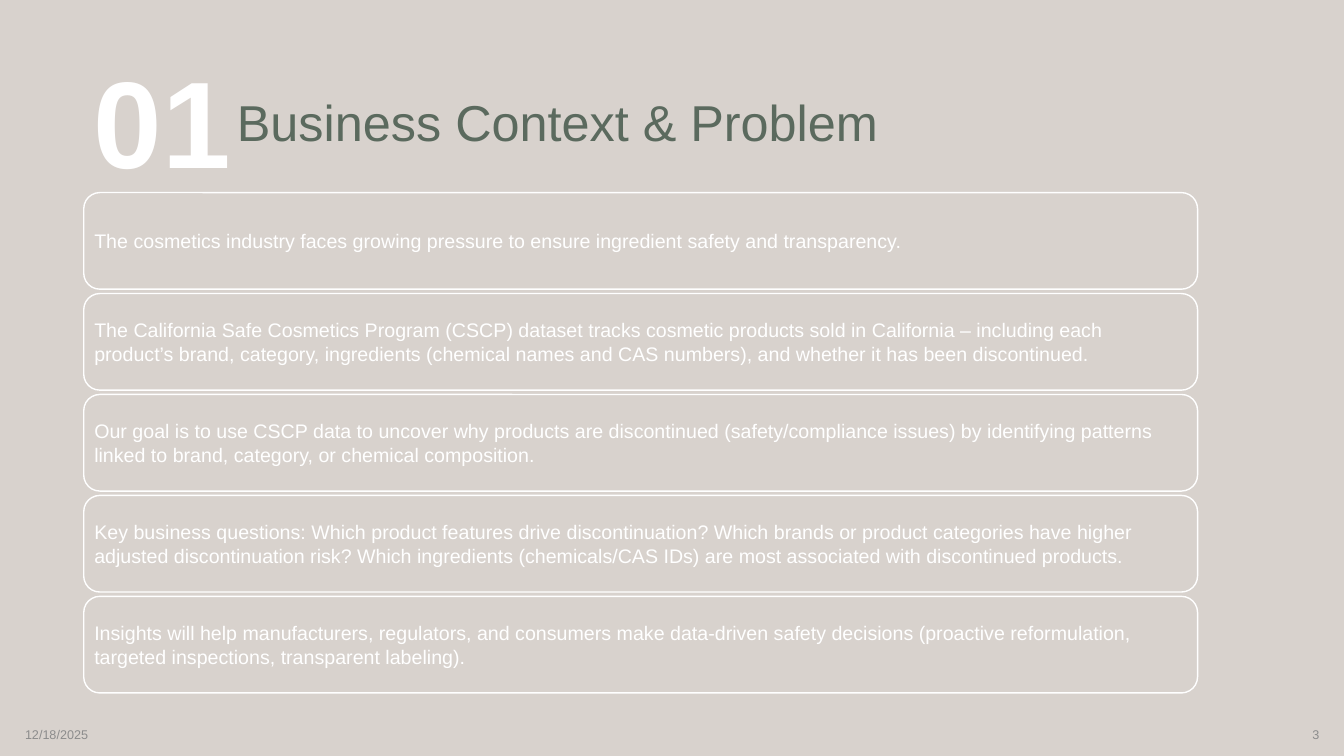
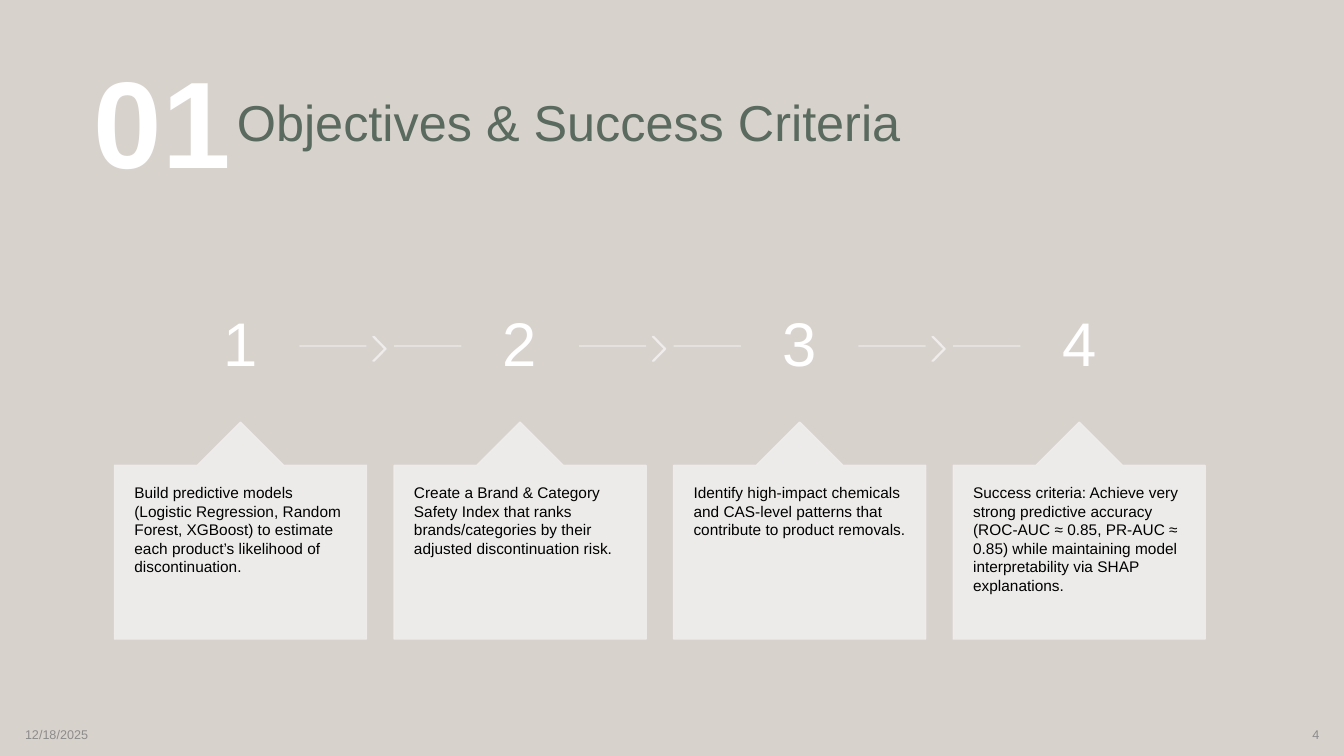
from dataclasses import dataclass

from lxml import etree
from pptx import Presentation
from pptx.dml.color import RGBColor
from pptx.enum import shapes, text
from pptx.oxml import ns
from pptx.util import Pt

HEX = {
    "back": "D8D2CD",
    "white": "FFFFFF",
    "title": "5B6A5E",
    "foot": "8C8C8C",
    "pale": "F0EEED",
    "black": "000000",
}
FONT = "Arial"
FORM = shapes.MSO_SHAPE
LEFT, MID, RIGHT = text.PP_ALIGN.LEFT, text.PP_ALIGN.CENTER, text.PP_ALIGN.RIGHT
TOP, CENTRE = text.MSO_ANCHOR.TOP, text.MSO_ANCHOR.MIDDLE
DATE = "12/18/2025"


@dataclass(frozen=True)
class Box:
    x: float
    y: float
    w: float
    h: float

    def pts(self) -> list:
        return [Pt(v) for v in (self.x, self.y, self.w, self.h)]


@dataclass(frozen=True)
class Style:
    size: float
    tint: str
    bold: bool = False
    align: int = LEFT
    anchor: int = CENTRE
    pad: tuple = (7.2, 3.6)
    lines: float = 1.0
    before: float = 0


HEAD = Style(36, "title", lines=0.9)
PART = Style(88, "white", bold=True, anchor=TOP, lines=0.9, before=10)
FOOT = Style(9, "foot")
PAGE = Style(9, "foot", align=RIGHT)
ROW = Style(14, "white", pad=(4.2, 4.2))
DIGIT = Style(44, "white", align=MID, pad=(2.9, 2.9), lines=0.9)
NOTE = Style(11, "black", anchor=TOP, pad=(14.2, 12.8))

ROWS = [
    "The cosmetics industry faces growing pressure to ensure ingredient safety and transparency.",
    "The California Safe Cosmetics Program (CSCP) dataset tracks cosmetic products sold in "
    "California – including each product’s brand, category, ingredients (chemical names and "
    "CAS numbers), and whether it has been discontinued.",
    "Our goal is to use CSCP data to uncover why products are discontinued (safety/compliance "
    "issues) by identifying patterns linked to brand, category, or chemical composition.",
    "Key business questions: Which product features drive discontinuation? Which brands or "
    "product categories have higher adjusted discontinuation risk? Which ingredients "
    "(chemicals/CAS IDs) are most associated with discontinued products.",
    "Insights will help manufacturers, regulators, and consumers make data-driven safety "
    "decisions (proactive reformulation, targeted inspections, transparent labeling).",
]
STEPS = [
    "Build predictive models (Logistic Regression, Random Forest, XGBoost) to estimate each "
    "product’s likelihood of discontinuation.",
    "Create a Brand & Category Safety Index that ranks brands/categories by their adjusted "
    "discontinuation risk.",
    "Identify high-impact chemicals and CAS-level patterns that contribute to product removals.",
    "Success criteria: Achieve very strong predictive accuracy (ROC-AUC ≈ 0.85, PR-AUC ≈ 0.85) "
    "while maintaining model interpretability via SHAP explanations.",
]


def tint(name: str) -> RGBColor:
    return RGBColor.from_string(HEX[name])


def put(target, values: dict) -> None:
    """Set each named attribute of the target."""
    for name, value in values.items():
        setattr(target, name, value)


def write(shape, words: str, style: Style) -> None:
    frame = shape.text_frame
    side, edge = (Pt(v) for v in style.pad)
    put(frame, {
        "word_wrap": True, "auto_size": text.MSO_AUTO_SIZE.NONE,
        "vertical_anchor": style.anchor,
        "margin_left": side, "margin_right": side,
        "margin_top": edge, "margin_bottom": edge,
    })
    para = frame.paragraphs[0]
    put(para, {"alignment": style.align, "line_spacing": style.lines,
               "space_before": Pt(style.before)})
    run = para.add_run()
    run.text = words
    put(run.font, {"name": FONT, "size": Pt(style.size), "bold": style.bold})
    run.font.color.rgb = tint(style.tint)


def label(slide, box: Box, words: str, style: Style) -> None:
    write(slide.shapes.add_textbox(*box.pts()), words, style)


def fade(shape) -> None:
    """Make the fill and line 90% opaque."""
    for node in shape._element.spPr.iter(ns.qn("a:srgbClr")):
        etree.SubElement(node, ns.qn("a:alpha"), val="90000")


def draw(slide, form, box: Box, fill: str, line: str, adjust: tuple = ()):
    shape = slide.shapes.add_shape(form, *box.pts())
    shape.shadow.inherit = False
    shape.fill.solid()
    shape.fill.fore_color.rgb = tint(fill)
    shape.line.color.rgb = tint(line)
    shape.line.width = Pt(1)
    for i, value in enumerate(adjust):
        shape.adjustments[i] = value
    return shape


def rule(slide, start: float, end: float, y: float) -> None:
    """Draw a level line."""
    line = slide.shapes.add_connector(
        shapes.MSO_CONNECTOR.STRAIGHT, Pt(start), Pt(y), Pt(end), Pt(y))
    line.line.color.rgb = tint("pale")
    line.line.width = Pt(1)
    fade(line)
    etree.SubElement(line._element.spPr, ns.qn("a:effectLst"))


def start(deck, head: str, width: float, page: int):
    """Add a slide with its part number, title and footer."""
    slide = deck.slides.add_slide(deck.slide_layouts[5])
    label(slide, Box(60, 41, 232.5, 105), "01", PART)
    title = slide.shapes.title
    names = ("left", "top", "width", "height")
    put(title, dict(zip(names, Box(162, 36.5, width, 106).pts())))
    write(title, head, HEAD)
    label(slide, Box(10.8, 510.5, 216, 28.8), DATE, FOOT)
    label(slide, Box(733.5, 510.5, 216, 28.8), str(page), PAGE)
    return slide


def context(deck) -> None:
    slide = start(deck, "Business Context & Problem", 669.5, 3)
    for i, words in enumerate(ROWS):
        box = Box(59.8, 137.6 + 72.1 * i, 795.6, 69)
        write(draw(slide, FORM.ROUNDED_RECTANGLE, box, "back", "white"), words, ROW)


def goals(deck) -> None:
    slide = start(deck, "Objectives & Success Criteria", 619, 4)
    wide, pitch, disc, y = 180, 199.7, 83, 247.2
    last = len(STEPS) - 1
    for i, words in enumerate(STEPS):
        x = 81.8 + pitch * i
        mid = x + wide / 2
        rule(slide, x if i else mid, x + wide if i < last else mid, y)
        if i < last:
            fade(draw(slide, FORM.CHEVRON, Box(x + 184.6, 240.5, 9.4, 17.4),
                      "pale", "pale", (0.9,)))
        ring = draw(slide, FORM.OVAL, Box(mid - disc / 2, y - disc / 2, disc, disc),
                    "back", "back")
        write(ring, str(i + 1), DIGIT)
        card = draw(slide, FORM.UP_ARROW_CALLOUT, Box(x, 301.5, wide, 155),
                    "pale", "pale", (0.5, 0.2, 0.2, 1))
        fade(card)
        write(card, words, NOTE)


def main() -> None:
    deck = Presentation()
    put(deck, {"slide_width": Pt(960), "slide_height": Pt(540)})
    back = deck.slide_master.background.fill
    back.solid()
    back.fore_color.rgb = tint("back")
    context(deck)
    goals(deck)
    deck.save("out.pptx")


if __name__ == "__main__":
    main()
